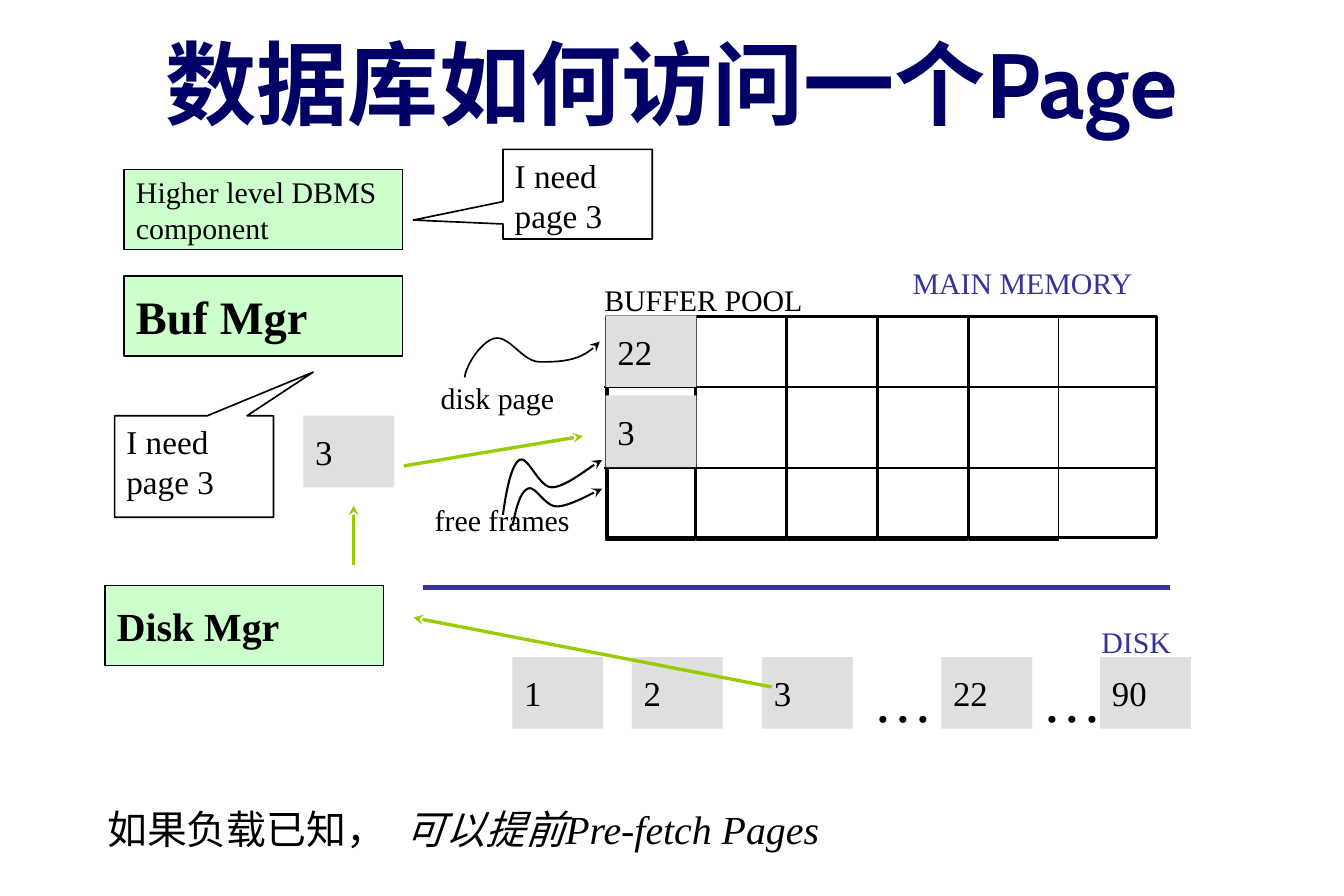
import dataclasses

import lxml.etree
import pptx
import pptx.dml.color
import pptx.enum.shapes
import pptx.enum.text
import pptx.oxml.ns
import pptx.util
from pptx.util import Inches

RECTANGLE = pptx.enum.shapes.MSO_SHAPE.RECTANGLE
CALLOUT = pptx.enum.shapes.MSO_SHAPE.RECTANGULAR_CALLOUT
STRAIGHT = pptx.enum.shapes.MSO_CONNECTOR.STRAIGHT
ANCHOR = pptx.enum.text.MSO_ANCHOR
AUTO_SIZE = pptx.enum.text.MSO_AUTO_SIZE
ALIGN = pptx.enum.text.PP_ALIGN
color = pptx.dml.color.RGBColor.from_string
qn = pptx.oxml.ns.qn


@dataclasses.dataclass(frozen=True)
class Theme:
    title_font: str = "Cabin"
    text_font: str = "Times New Roman"
    navy: str = "000066"
    blue: str = "333399"
    black: str = "000000"
    arrow_green: str = "99CC00"
    manager_green: str = "CCFFCC"
    page_gray: str = "DFDFDF"
    title: float = 55
    ellipsis: float = 36
    buffer_manager: float = 28
    heading: float = 24
    page: float = 21
    request: float = 20
    label: float = 18


theme = Theme()


def write(shape, lines, size, ink=theme.black, bold=False, wrap=False, anchor=ANCHOR.TOP):
    frame = shape.text_frame
    frame.text = "\n".join(lines)
    frame.word_wrap = wrap
    frame.vertical_anchor = anchor
    for paragraph in frame.paragraphs:
        paragraph.alignment = ALIGN.LEFT
        paragraph.font.name = theme.text_font
        paragraph.font.size = pptx.util.Pt(size)
        paragraph.font.bold = bold
        paragraph.font.color.rgb = color(ink)


def outline(shape, ink, width, arrow=False):
    shape.line.color.rgb = color(ink)
    shape.line.width = pptx.util.Pt(width)
    properties = shape.element.spPr
    if arrow:
        lxml.etree.SubElement(properties.find(qn("a:ln")), qn("a:tailEnd"), type="stealth")
    if properties.find(qn("a:effectLst")) is None:
        lxml.etree.SubElement(properties, qn("a:effectLst"))


presentation = pptx.Presentation()
presentation.slide_width = Inches(11.25)
presentation.slide_height = Inches(7.5)
slide = presentation.slides.add_slide(presentation.slide_layouts[5])
shapes = slide.shapes

# Title
title = shapes.title
title.left, title.top = Inches(1.12), Inches(0.17)
title.width, title.height = Inches(9), Inches(1.03)
write(title, ["数据库如何访问一个Page"], theme.title, theme.navy, True, True, ANCHOR.MIDDLE)
title.text_frame.auto_size = AUTO_SIZE.NONE
title.text_frame.paragraphs[0].alignment = ALIGN.CENTER
title.text_frame.paragraphs[0].font.name = theme.title_font

# Buffer pool frames: the whole pool, then its first five columns
pool_left, pool_top, column_step = 5.07, 2.65, 0.76
columns = [(pool_left + column_step * i, 0.75, 1.87, 1) for i in range(5)]
for left, width, height, weight in [(5.08, 4.6, 1.85, 2)] + columns:
    frame_box = shapes.add_shape(
        RECTANGLE, Inches(left), Inches(pool_top), Inches(width), Inches(height))
    frame_box.fill.background()
    frame_box.shadow.inherit = False
    outline(frame_box, theme.black, weight)

# Row lines of the pool and the border between memory and disk
for left, right, y, ink, weight in [
    (5.06, 9.69, 3.24, theme.black, 1),
    (5.06, 9.69, 3.92, theme.black, 1),
    (3.54, 9.79, 4.92, theme.blue, 2.75),
]:
    rule = shapes.add_connector(STRAIGHT, Inches(left), Inches(y), Inches(right), Inches(y))
    outline(rule, ink, weight)

# Pages in the pool, in transit and on disk
for number, left, top in [
    ("22", pool_left, 2.64),
    ("3", pool_left, 3.31),
    ("3", 2.54, 3.48),
    ("1", 4.29, 5.5),
    ("2", 5.29, 5.5),
    ("3", 6.38, 5.5),
    ("22", 7.88, 5.5),
    ("90", 9.21, 5.5),
]:
    page = shapes.add_shape(RECTANGLE, Inches(left), Inches(top), Inches(0.76), Inches(0.6))
    page.shadow.inherit = False
    page.fill.solid()
    page.fill.fore_color.rgb = color(theme.page_gray)
    page.line.fill.background()
    write(page, [number], theme.page, anchor=ANCHOR.MIDDLE)

# Labels
for text, left, top, width, height, size, ink in [
    ("MAIN MEMORY", 7.54, 2.17, 2.14, 0.4, theme.label, theme.blue),
    ("DISK", 9.12, 5.17, 0.79, 0.4, theme.label, theme.blue),
    ("BUFFER POOL", 4.96, 2.31, 1.91, 0.4, theme.label, theme.black),
    ("disk page", 3.59, 3.13, 1.16, 0.4, theme.label, theme.black),
    ("free frames", 3.54, 4.15, 1.35, 0.4, theme.label, theme.black),
    ("…", 7.21, 5.5, 0.71, 0.71, theme.ellipsis, theme.black),
    ("…", 8.63, 5.5, 0.71, 0.71, theme.ellipsis, theme.black),
]:
    label = shapes.add_textbox(Inches(left), Inches(top), Inches(width), Inches(height))
    write(label, [text], size, ink)
    label.text_frame.auto_size = AUTO_SIZE.SHAPE_TO_FIT_TEXT

# Layers of the database system
for lines, left, top, size, bold in [
    (["Higher level DBMS", "component"], 1.04, 1.42, theme.label, False),
    (["Buf Mgr"], 1.04, 2.31, theme.buffer_manager, True),
    (["Disk Mgr"], 0.88, 4.9, theme.heading, True),
]:
    layer = shapes.add_shape(RECTANGLE, Inches(left), Inches(top), Inches(2.33), Inches(0.67))
    layer.shadow.inherit = False
    layer.fill.solid()
    layer.fill.fore_color.rgb = color(theme.manager_green)
    outline(layer, theme.black, 1)
    write(layer, lines, size, bold=bold, anchor=ANCHOR.MIDDLE)

# Page requests
for left, top, width, height, tip_x, tip_y in [
    (4.21, 1.25, 1.25, 0.75, -1.1, 0.29),
    (0.96, 3.48, 1.33, 0.85, 0.75, -0.93),
]:
    request = shapes.add_shape(CALLOUT, Inches(left), Inches(top), Inches(width), Inches(height))
    request.adjustments[0], request.adjustments[1] = tip_x, tip_y
    request.shadow.inherit = False
    request.fill.background()
    outline(request, theme.black, 1)
    write(request, ["I need page 3"], theme.request, wrap=True)

# Path of page 3 from disk to the pool
for start_x, start_y, end_x, end_y in [
    (6.46, 5.75, 3.46, 5.17),
    (2.96, 4.73, 2.96, 4.23),
    (3.38, 3.9, 4.88, 3.65),
]:
    arrow = shapes.add_connector(
        STRAIGHT, Inches(start_x), Inches(start_y), Inches(end_x), Inches(end_y))
    outline(arrow, theme.arrow_green, 2, arrow=True)

# Curved pointers, each a chain of cubic curves sharing end points
for weight, knots in [
    (1, [(3.89, 3.16), (3.9, 3.05), (4.05, 2.83), (4.16, 2.83), (4.28, 2.83),
         (4.38, 3.03), (4.52, 3.03), (4.72, 3.03), (4.88, 3.02), (5.02, 2.86)]),
    (1.25, [(4.21, 4.31), (4.24, 4.1), (4.28, 3.89), (4.35, 3.85), (4.42, 3.81),
            (4.51, 4.08), (4.62, 4.08), (4.74, 4.08), (4.96, 3.89), (5.04, 3.85)]),
    (1.25, [(4.29, 4.4), (4.32, 4.26), (4.35, 4.12), (4.42, 4.09), (4.48, 4.06),
            (4.56, 4.24), (4.66, 4.24), (4.77, 4.24), (4.97, 4.12), (5.04, 4.09)]),
]:
    points = []
    for first in range(0, len(knots) - 1, 3):
        for step in range(1, 13):
            t = step / 12
            weights = [(1 - t) ** 3, 3 * t * (1 - t) ** 2, 3 * t * t * (1 - t), t ** 3]
            curve = list(zip(weights, knots[first:first + 4]))
            points.append((Inches(sum(w * x for w, (x, y) in curve)),
                           Inches(sum(w * y for w, (x, y) in curve))))
    builder = shapes.build_freeform(Inches(knots[0][0]), Inches(knots[0][1]))
    builder.add_line_segments(points, close=False)
    pointer = builder.convert_to_shape()
    pointer.shadow.inherit = False
    pointer.fill.background()
    outline(pointer, theme.black, weight, arrow=True)

# Remark on prefetching, its second half set off by a tab stop
remark = shapes.add_textbox(Inches(0.8), Inches(6.69), Inches(9.17), Inches(0.51))
write(remark, ["如果负载已知，\t"], theme.heading, wrap=True)
remark.text_frame.auto_size = AUTO_SIZE.SHAPE_TO_FIT_TEXT
paragraph = remark.text_frame.paragraphs[0]
emphasis = paragraph.add_run()
emphasis.text = "可以提前Pre-fetch Pages"
emphasis.font.italic = True
tabs = lxml.etree.Element(qn("a:tabLst"))
lxml.etree.SubElement(tabs, qn("a:tab"), pos=str(Inches(2.5)), algn="l")
paragraph._p.get_or_add_pPr().insert(0, tabs)

presentation.save("out.pptx")
